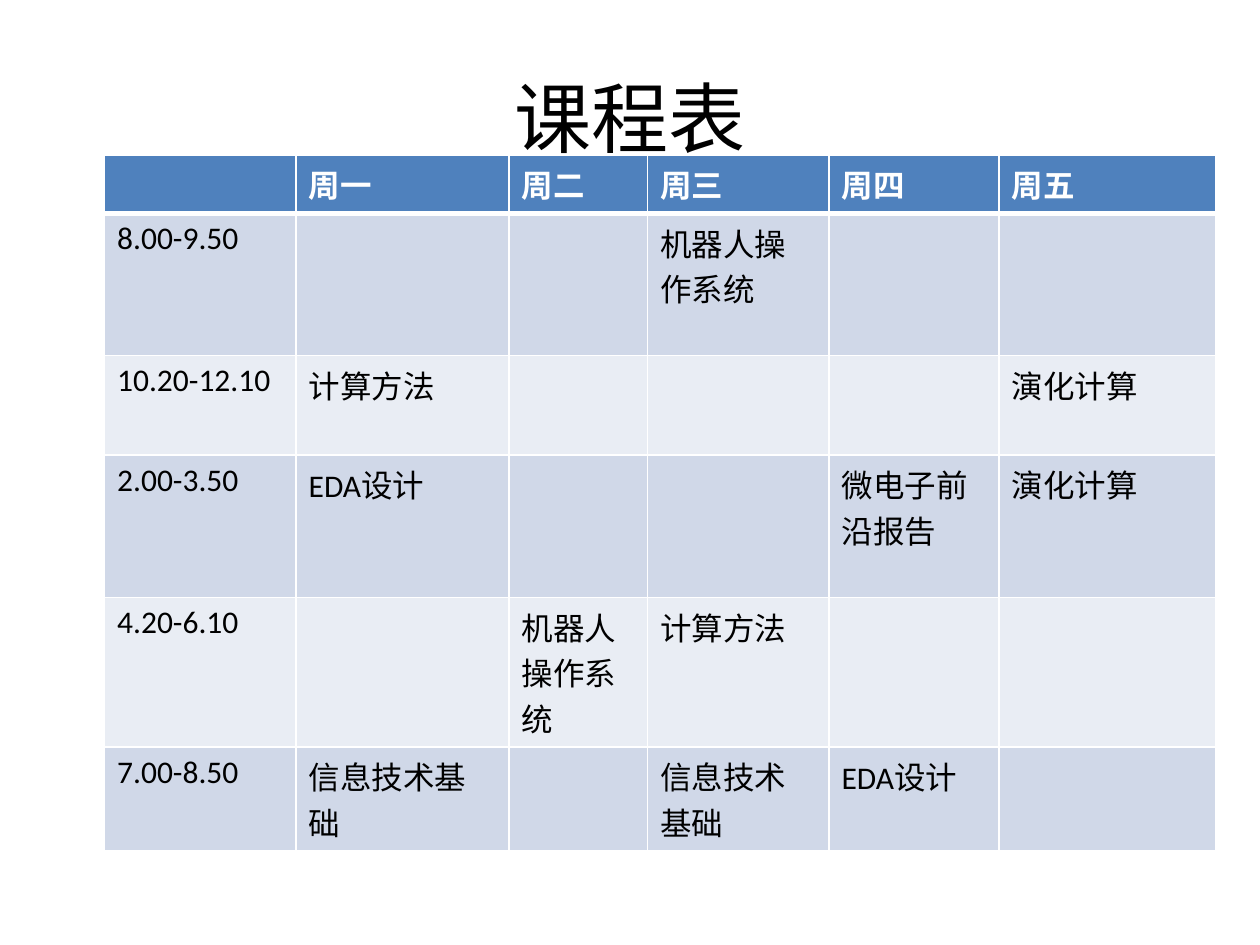
"""Build a weekly course timetable slide."""
import pptx
import pptx.dml.color
import pptx.enum.text
import pptx.oxml
import pptx.oxml.ns
import pptx.util
from pptx.util import Inches

TITLE = "课程表"
DAYS = ["", "周一", "周二", "周三", "周四", "周五"]
LESSONS = [
    ["8.00-9.50", "", "", "机器人操作系统", "", ""],
    ["10.20-12.10", "计算方法", "", "", "", "演化计算"],
    ["2.00-3.50", "EDA设计", "", "", "微电子前沿报告", "演化计算"],
    ["4.20-6.10", "", "机器人操作系统", "计算方法", "", ""],
    ["7.00-8.50", "信息技术基础", "", "信息技术基础", "EDA设计", ""],
]
COLUMN_WIDTHS = [1.52, 1.69, 1.1, 1.44, 1.35, 1.72]
ROW_HEIGHTS = [0.46, 1.13, 0.79, 1.13, 1.13, 0.79]
HEADER_FILL, BAND_FILLS = "4F81BD", ["D0D8E8", "E9EDF4"]
TITLE_FONT = {"name": "Calibri", "size": pptx.util.Pt(44), "bold": False}
HEADER_FONT = {"name": "Calibri", "size": pptx.util.Pt(18), "bold": True}
LESSON_FONT = {**HEADER_FONT, "bold": False}


def paint(color_format, hex_color):
    color_format.rgb = pptx.dml.color.RGBColor.from_string(hex_color)


def write(paragraph, text, font_values, hex_color):
    run = paragraph.add_run()
    run.text = text
    for attribute, value in font_values.items():
        setattr(run.font, attribute, value)
    paint(run.font.color, hex_color)


def add_borders(cell, widths):
    properties = cell._tc.get_or_add_tcPr()
    for side, points in widths.items():
        properties.append(pptx.oxml.parse_xml(
            f'<a:ln{side} {pptx.oxml.ns.nsdecls("a")} w="{pptx.util.Pt(points)}">'
            f'<a:solidFill><a:srgbClr val="FFFFFF"/></a:solidFill></a:ln{side}>'))


def add_title(slide):
    title = slide.shapes.title
    box = {"left": 0.5, "top": 0.3, "width": 9, "height": 1.25}
    for attribute, length in box.items():
        setattr(title, attribute, Inches(length))
    title.text_frame.vertical_anchor = pptx.enum.text.MSO_ANCHOR.MIDDLE
    heading = title.text_frame.paragraphs[0]
    heading.alignment = pptx.enum.text.PP_ALIGN.CENTER
    write(heading, TITLE, TITLE_FONT, "000000")


def add_timetable(slide):
    rows = [DAYS] + LESSONS
    timetable = slide.shapes.add_table(
        len(rows), len(DAYS), Inches(0.83), Inches(1.23),
        Inches(sum(COLUMN_WIDTHS)), Inches(sum(ROW_HEIGHTS))).table
    for column, width in zip(timetable.columns, COLUMN_WIDTHS):
        column.width = Inches(width)
    for row, height in zip(timetable.rows, ROW_HEIGHTS):
        row.height = Inches(height)
    for r, texts in enumerate(rows):
        is_header = r == 0
        fill = HEADER_FILL if is_header else BAND_FILLS[(r - 1) % 2]
        font = HEADER_FONT if is_header else LESSON_FONT
        ink = "FFFFFF" if is_header else "000000"
        borders = {"L": 1, "R": 1, "T": 3 if r == 1 else 1, "B": 3 if is_header else 1}
        for c, text in enumerate(texts):
            cell = timetable.cell(r, c)
            add_borders(cell, borders)
            cell.fill.solid()
            paint(cell.fill.fore_color, fill)
            if text:
                write(cell.text_frame.paragraphs[0], text, font, ink)


def main():
    deck = pptx.Presentation()
    deck.slide_width, deck.slide_height = Inches(10), Inches(7.5)
    slide = deck.slides.add_slide(deck.slide_layouts.get_by_name("Title Only"))
    add_title(slide)
    add_timetable(slide)
    deck.save("out.pptx")


if __name__ == "__main__":
    main()
